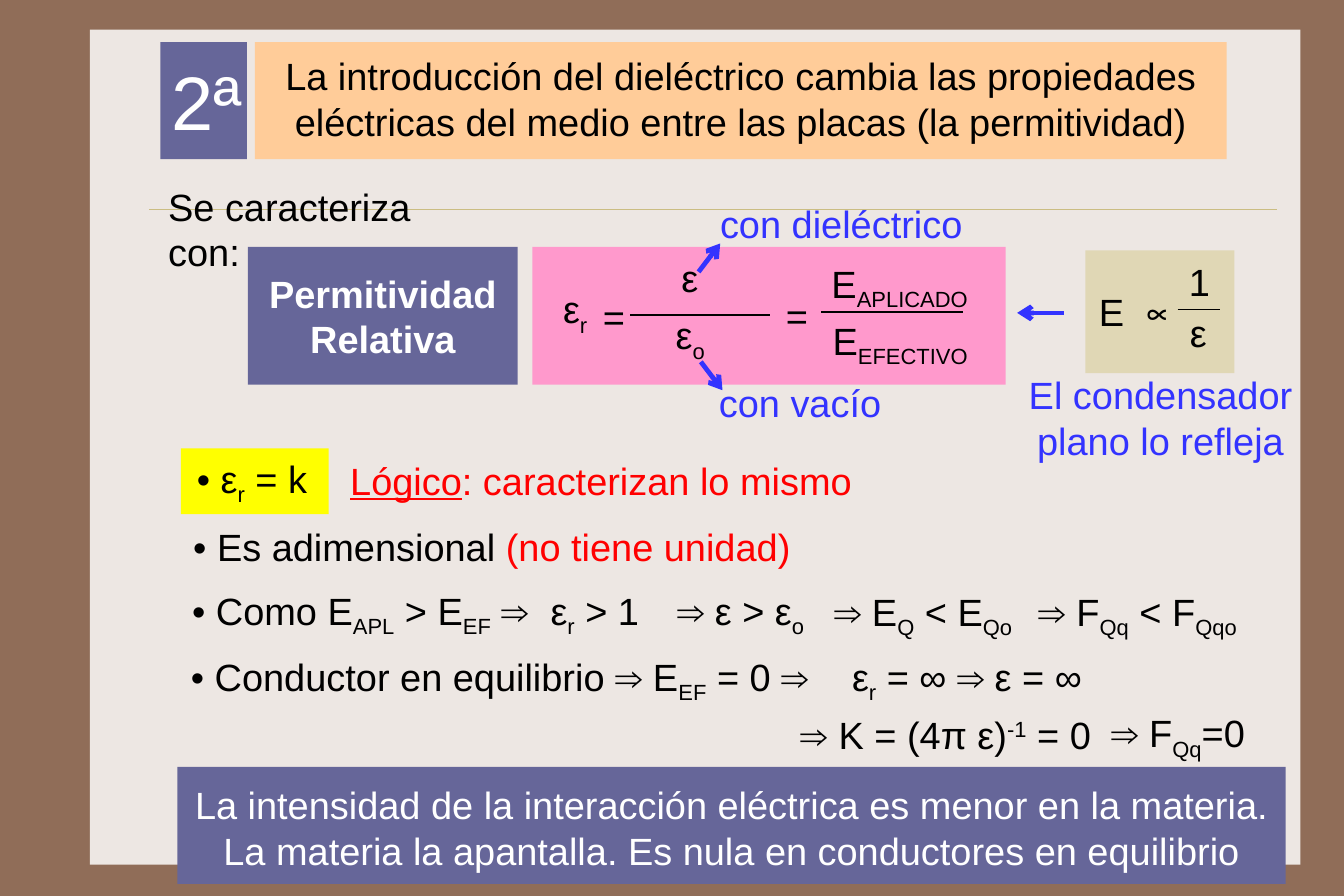
from dataclasses import dataclass

from lxml.etree import SubElement
from pptx import Presentation
from pptx.dml.color import RGBColor
from pptx.enum.shapes import MSO_CONNECTOR as Conn, MSO_SHAPE as Kind
from pptx.enum.text import MSO_ANCHOR as Anchor, MSO_AUTO_SIZE as Fit, PP_ALIGN as Align
from pptx.oxml.ns import qn
from pptx.util import Inches, Pt


@dataclass(frozen=True)
class Theme:
    font: str = "Arial"
    body: int = 24
    big: int = 48
    wall: str = "906D58"
    sheet: str = "EDE7E3"
    rule: str = "CBBD83"
    ink: str = "000000"
    white: str = "FFFFFF"
    slate: str = "666699"
    peach: str = "FFCC99"
    pink: str = "FF99CC"
    sand: str = "E0D7B5"
    yellow: str = "FFFF00"
    blue: str = "3333FF"
    red: str = "FF0000"


@dataclass(frozen=True)
class Box:
    x: float
    y: float
    w: float
    h: float

    def at(self, dx, dy, w, h=0.59):
        return Box(self.x + dx, self.y + dy, w, h)

    def size(self):
        return [Inches(n) for n in (self.x, self.y, self.w, self.h)]


@dataclass(frozen=True)
class Run:
    text: str
    base: int = 0
    color: str = ""
    under: bool = False
    gap: int = 0


T = Theme()


def rgb(code):
    return RGBColor.from_string(code)


def sub(text):
    return Run(text, -25)


def write(shape, runs, color=T.ink, size=T.body, bold=False, wrap=False,
          align=Align.LEFT, anchor=Anchor.TOP, pad=(0.1, 0.09, 0.09)):
    """Fill a shape with runs; pad is side, top, bottom."""
    frame = shape.text_frame
    frame.word_wrap = wrap
    frame.vertical_anchor = anchor
    side, top, low = pad
    frame.margin_left = frame.margin_right = Inches(side)
    frame.margin_top, frame.margin_bottom = Inches(top), Inches(low)
    para = frame.paragraphs[0]
    para.alignment = align
    for item in runs:
        part = item if isinstance(item, Run) else Run(item)
        run = para.add_run()
        run.text = part.text
        font = run.font
        font.name, font.size, font.bold = T.font, Pt(size), bold
        font.underline = part.under
        font.color.rgb = rgb(part.color or color)
        props = run._r.get_or_add_rPr()
        if part.base:
            props.set("baseline", str(part.base * 1000))
        if part.gap:
            props.set("spc", str(part.gap * 100))


def label(slide, box, *runs, **style):
    shape = slide.shapes.add_textbox(*box.size())
    write(shape, runs, **style)
    shape.text_frame.auto_size = Fit.SHAPE_TO_FIT_TEXT


def block(slide, box, fill):
    shape = slide.shapes.add_shape(Kind.RECTANGLE, *box.size())
    shape.shadow.inherit = False
    shape.fill.solid()
    shape.fill.fore_color.rgb = rgb(fill)
    shape.line.fill.background()
    return shape


def stroke(slide, box, start, end, color=T.ink, width=1, arrow=False):
    """Draw a line between two offsets from the box corner."""
    ends = [Inches(n) for dx, dy in (start, end) for n in (box.x + dx, box.y + dy)]
    line = slide.shapes.add_connector(Conn.STRAIGHT, *ends)
    line.line.color.rgb = rgb(color)
    line.line.width = Pt(width)
    props = line._element.spPr
    if arrow:
        SubElement(props.find(qn("a:ln")), qn("a:tailEnd"), type="arrow")
    SubElement(props, qn("a:effectLst"))


def point(slide, box, start, end):
    stroke(slide, box, start, end, T.blue, 3, True)


def back(slide, box):
    slide.background.fill.solid()
    slide.background.fill.fore_color.rgb = rgb(T.wall)
    block(slide, box, T.sheet)
    stroke(slide, box, (0.52, 1.58), (10.43, 1.58), T.rule, 0.25)


def header(slide, box):
    # Number tile
    tile = block(slide, box.at(0, 0, 0.76, box.h), T.slate)
    write(tile, ["2ª"], T.white, T.big, anchor=Anchor.MIDDLE, pad=(0.1, 0.08, 0.08))
    # Title, brought in front of the sheet
    title = slide.shapes.title
    title.left, title.top, title.width, title.height = box.at(0.83, 0, box.w - 0.83, box.h).size()
    title.fill.solid()
    title.fill.fore_color.rgb = rgb(T.peach)
    write(title, ["La introducción del dieléctrico cambia las propiedades "
                  "eléctricas del medio entre las placas (la permitividad)"],
          wrap=True, align=Align.CENTER, anchor=Anchor.MIDDLE, pad=(0.1, 0.09, 0.13))
    title.text_frame.auto_size = Fit.NONE
    title.element.getparent().append(title.element)


def term(slide, box):
    label(slide, box.at(-0.8, -0.69, 2.37, 1.03), "Se caracteriza con:",
          wrap=True, pad=(0.1, 0.13, 0.09))
    write(block(slide, box, T.slate), ["Permitividad Relativa"], T.white, bold=True,
          wrap=True, align=Align.CENTER, anchor=Anchor.MIDDLE, pad=(0.12, 0.12, 0.12))


def formula(slide, box):
    block(slide, box, T.pink)
    for dx, dy, w, *runs in (
        (0.17, 0.25, 0.42, "ε", sub("r")),
        (0.52, 0.32, 0.4, "="),
        (1.21, -0.02, 0.35, "ε"),
        (1.16, 0.48, 0.47, "ε", sub("o")),
        (2.13, 0.31, 0.4, "="),
        (2.53, 0.03, 1.56, "E", sub("APLICADO")),
        (2.54, 0.53, 1.54, "E", sub("EFECTIVO")),
    ):
        label(slide, box.at(dx, dy, w), *runs)
    # Fraction bars
    stroke(slide, box, (0.86, 0.6), (2.09, 0.6))
    stroke(slide, box, (2.54, 0.57), (3.78, 0.57))
    # Remarks
    for dx, dy, w, text in ((1.55, -0.54, 2.35, "con dieléctrico"),
                            (1.54, 1.04, 1.64, "con vacío")):
        label(slide, box.at(dx, dy, w, 0.63), text, color=T.blue, pad=(0.1, 0.13, 0.09))
    point(slide, box, (1.46, 0.22), (1.65, -0.03))
    point(slide, box, (1.48, 1.01), (1.67, 1.26))


def hint(slide, box):
    block(slide, box, T.sand)
    for dx, dy, w, text in ((0.02, 0.25, 0.42, "E"), (0.39, 0.23, 0.44, "∝"),
                            (0.81, -0.02, 0.39, "1"), (0.82, 0.43, 0.35, "ε")):
        label(slide, box.at(dx, dy, w), text)
    stroke(slide, box, (0.81, 0.52), (1.18, 0.52))
    point(slide, box, (-0.19, 0.55), (-0.6, 0.55))
    label(slide, box.at(-0.67, 1.02, 2.66, 0.91), "El condensador plano lo refleja",
          color=T.blue, wrap=True, align=Align.CENTER, pad=(0.1, 0.05, 0.05))


def points(slide, box):
    # Marked equality
    chip = block(slide, box.at(0, 0, 1.3, 0.58), T.yellow)
    write(chip, ["• ε", sub("r"), " = k"], anchor=Anchor.MIDDLE, pad=(0.14, 0.13, 0.13))
    label(slide, box.at(1.39, -0.05, 4.66, 0.63), Run("Lógico", under=True),
          ": caracterizan lo mismo", color=T.red, pad=(0.1, 0.13, 0.09))
    # Chains of reasoning
    for dx, dy, w, *runs in (
        (0.01, 0.57, 6.98, "• Es adimensional ", Run("(no tiene unidad)", color=T.red)),
        (0, 1.13, 4.37, "• Como E", sub("APL"), " > E", sub("EF"), " ⇒",
         Run(" ", gap=7), "ε", sub("r"), " > 1"),
        (4.17, 1.13, 1.62, " ⇒ ε > ε", sub("o")),
        (5.55, 1.14, 2.02, " ⇒ E", sub("Q"), " < E", sub("Qo")),
        (7.44, 1.14, 2.14, "⇒ F", sub("Qq"), " < F", sub("Qqo")),
        (-0.01, 1.71, 6.66, "• Conductor en equilibrio ⇒ E", sub("EF"), " = 0 ⇒"),
        (5.8, 1.71, 2.61, "ε", sub("r"), " = ∞ ⇒ ε = ∞"),
        (5.35, 2.22, 2.98, "⇒ K = (4π ε)", Run("-1", 30), " = 0"),
        (8.08, 2.21, 1.64, "⇒ F", sub("Qq"), "=0"),
    ):
        label(slide, box.at(dx, dy, w), *runs, wrap=True)


def banner(slide, box):
    write(block(slide, box, T.slate),
          ["La intensidad de la interacción eléctrica es menor en la materia. "
           "La materia la apantalla. Es nula en conductores en equilibrio"],
          T.white, wrap=True, align=Align.CENTER, pad=(0.1, 0.13, 0.09))


def main():
    deck = Presentation()
    deck.slide_width, deck.slide_height = Inches(189 / 16), Inches(63 / 8)
    slide = deck.slides.add_slide(deck.slide_layouts[5])
    back(slide, Box(0.79, 0.26, 10.64, 7.34))
    header(slide, Box(1.41, 0.37, 9.37, 1.03))
    term(slide, Box(2.18, 2.17, 2.37, 1.21))
    formula(slide, Box(4.68, 2.17, 4.16, 1.21))
    hint(slide, Box(9.54, 2.2, 1.31, 1.08))
    points(slide, Box(1.59, 3.94, 9.72, 2.8))
    banner(slide, Box(1.56, 6.74, 9.74, 1.03))
    deck.save("out.pptx")


if __name__ == "__main__":
    main()
